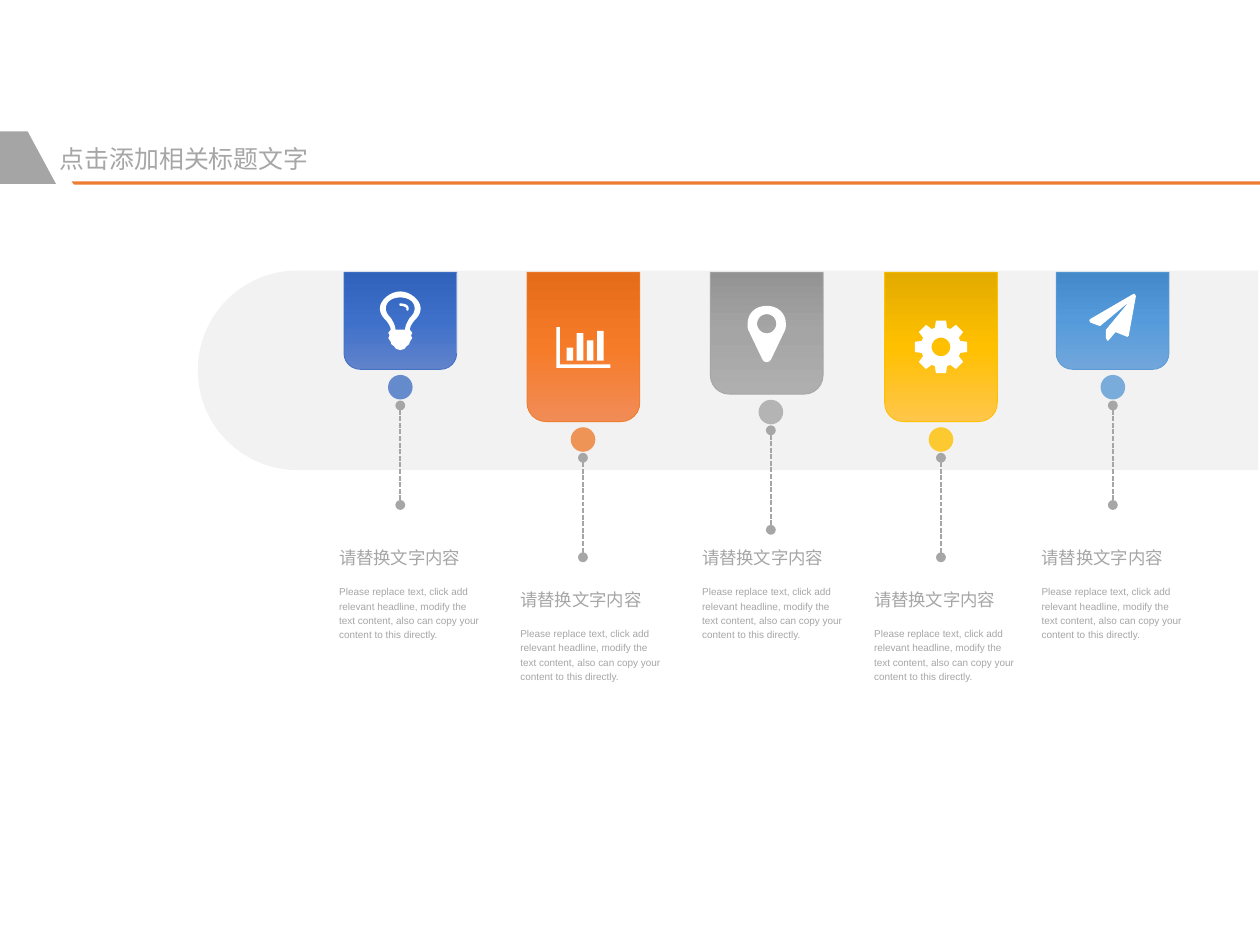
from copy import deepcopy
from dataclasses import dataclass
from math import cos, radians, sin

from lxml import etree
from pptx import Presentation
from pptx.dml.color import RGBColor
from pptx.enum.dml import MSO_LINE
from pptx.enum.shapes import MSO_CONNECTOR, MSO_SHAPE
from pptx.enum.text import MSO_ANCHOR, MSO_AUTO_SIZE
from pptx.oxml.ns import qn
from pptx.util import Inches, Pt

ROUNDED, ELLIPSE = MSO_SHAPE.ROUND_2_SAME_RECTANGLE, MSO_SHAPE.OVAL
STRAIGHT, DASHED = MSO_CONNECTOR.STRAIGHT, MSO_LINE.SQUARE_DOT
TOP, MIDDLE = MSO_ANCHOR.TOP, MSO_ANCHOR.MIDDLE
FIT_TEXT = MSO_AUTO_SIZE.SHAPE_TO_FIT_TEXT

WIDTH, HEIGHT = Inches(10.55), Inches(7.91)
COLUMNS, ROWS = 100, 75
ICON_UNIT = 0.095  # columns per icon point


@dataclass(frozen=True)
class Theme:
    font: str = "Arial"
    title_size: float = 15
    heading_size: float = 10.5
    body_size: float = 6
    text: str = "A6A6A6"
    band: str = "F2F2F2"
    tab: str = "A5A5A5"
    rule: str = "ED7D31"
    icon: str = "FFFFFF"
    # Accent, then the card's gradient from its lower to its upper edge
    blue: tuple = ("4472C4", "6183CB", "3E70CA", "3062BB")
    orange: tuple = ("ED7D31", "F18C57", "F67B28", "E56C19")
    gray: tuple = ("A5A5A5", "AFAFAF", "A5A5A5", "939393")
    gold: tuple = ("FFC000", "FFC64B", "FFC000", "E3AB00")
    sky: tuple = ("5B9BD5", "71A6DB", "559BDB", "448ACA")


class Board:
    """Draws on one slide, measured in columns and rows."""

    def __init__(self, slide, theme):
        self.shapes, self.theme = slide.shapes, theme

    def place(self, x, y):
        return round(x * WIDTH / COLUMNS), round(y * HEIGHT / ROWS)

    def shape(self, kind, x, y, w, h, color, rotation=0, opacity=None):
        shape = self.shapes.add_shape(kind, *self.place(x, y), *self.place(w, h))
        shape.rotation = rotation
        self.paint(shape, color)
        if opacity:
            tint = shape.element.spPr.find(".//" + qn("a:srgbClr"))
            etree.SubElement(tint, qn("a:alpha"), val=str(opacity * 1000))
        return shape

    def paint(self, shape, color):
        shape.shadow.inherit = False
        shape.fill.solid()
        shape.fill.fore_color.rgb = RGBColor.from_string(color)
        shape.line.fill.background()

    def card(self, x, y, w, h, colors):
        accent, *shades = colors
        card = self.shape(ROUNDED, x, y, w, h, accent, rotation=180)
        card.line.color.rgb = RGBColor.from_string(accent)
        card.line.width = Pt(0.5)
        card.fill.gradient()
        card.fill.gradient_angle = 270
        stops = card.element.spPr.find(".//" + qn("a:gsLst"))
        stops.append(deepcopy(stops[-1]))
        for stop, shade, position in zip(card.fill.gradient_stops, shades, (0, 0.5, 1)):
            stop.color.rgb = RGBColor.from_string(shade)
            stop.position = position

    def outline(self, contours, color, x=0, y=0, unit=1):
        placed = [[self.place(x + px * unit, y + py * unit) for px, py in contour]
                  for contour in contours]
        builder = self.shapes.build_freeform(*placed[0][0])
        for index, (start, *rest) in enumerate(placed):
            if index:
                builder.move_to(*start)
            builder.add_line_segments(rest, close=True)
        self.paint(builder.convert_to_shape(), color)

    def pointer(self, x, y, length):
        pointer = self.shapes.add_connector(
            STRAIGHT, *self.place(x, y), *self.place(x, y + length))
        pointer.line.color.rgb = RGBColor.from_string(self.theme.text)
        pointer.line.width = Pt(1)
        pointer.line.dash_style = DASHED
        properties = pointer.element.spPr
        for end in ("a:headEnd", "a:tailEnd"):
            etree.SubElement(properties.find(qn("a:ln")), qn(end), type="oval")
        etree.SubElement(properties, qn("a:effectLst"))

    def text(self, x, y, w, h, words, size, anchor=MIDDLE, spacing=1.2, after=0):
        box = self.shapes.add_textbox(*self.place(x, y), *self.place(w, h))
        frame = box.text_frame
        frame.text = words
        frame.word_wrap, frame.auto_size = True, FIT_TEXT
        frame.vertical_anchor = anchor
        frame.margin_left = frame.margin_right = 0
        frame.margin_top = frame.margin_bottom = 0
        paragraph = frame.paragraphs[0]
        paragraph.line_spacing = spacing
        paragraph.space_before, paragraph.space_after = Pt(0), Pt(after)
        before = box.element.find(".//" + qn("a:spcBef"))
        before.remove(before[0])
        etree.SubElement(before, qn("a:spcPct"), val="20000")
        font = paragraph.runs[0].font
        font.name, font.size = self.theme.font, Pt(size)
        font.color.rgb = RGBColor.from_string(self.theme.text)


# Icon geometry: x from the centre line, y from the icon's top
def curve(start, *bends, steps=8):
    points = [start]
    for b, c, d in bends:
        a = points[-1]
        for t in (i / steps for i in range(1, steps + 1)):
            s = 1 - t
            points.append(tuple(s**3 * p + 3 * s * s * t * q + 3 * s * t * t * r + t**3 * e
                                for p, q, r, e in zip(a, b, c, d)))
    return points


def mirrored(half):
    return half + [(-x, y) for x, y in reversed(half)]


def polar(radius, degrees, middle):
    angle = radians(degrees)
    return radius * sin(angle), middle - radius * cos(angle)


def circle(radius, middle):
    return [polar(radius, degrees, middle) for degrees in range(0, 360, 10)]


def bar(x, top, width=5.5, base=28):
    return [(x, top), (x + width, top), (x + width, base), (x, base)]


BULB = [
    mirrored(curve((0, 0), ((8, 0), (17, 7), (17, 14)), ((17, 18), (15, 21), (13, 23)),
                   ((11, 25), (8, 29), (8, 32)))
             + [(10, 34.5), (9, 37), (10, 39), (8, 42), (7.5, 44), (5, 46), (3.5, 48), (0, 49)]),
    mirrored(curve((0, 5), ((6, 5), (12, 8), (12, 14)), ((12, 17), (11, 19), (8, 22)),
                   ((6, 25), (4, 29), (4, 32)))),
    curve((6, 16), ((5, 16), (5, 15), (5, 14)), ((5, 13), (2, 12), (0, 12)),
          ((-1, 12), (-1, 10), (0, 10)), ((3, 10), (7, 11), (7, 14)), ((7, 15), (7, 16), (6, 16))),
]
BARS = [[(-22.5, 0), (-19.5, 0), (-19.5, 31), (22.5, 31), (22.5, 34), (-22.5, 34)]]
BARS += [bar(-14 + 8.5 * i, top) for i, top in enumerate((17, 5, 11, 3))]
PIN = [
    mirrored(curve((0, 0), ((9, 0), (16, 6), (16, 15)), ((16, 17), (16, 19), (15, 21)))
             + curve((4, 44), ((3, 46), (2, 47), (0, 47)))),
    circle(8, 15),
]
GEAR = [
    [polar(radius, tooth + turn, 22.5) for tooth in range(0, 360, 45)
     for radius, turn in ((16.8, -17.5), (22.3, -11), (22.3, 11), (16.8, 17.5))],
    circle(7.8, 22.5),
]
PLANE = [[(19.5, 2), (18.5, 0), (17.5, 0), (-18.5, 21), (-19.5, 22), (-18.5, 24), (-10.5, 27),
          (13.5, 7), (-5.5, 30), (-5.5, 37), (-4.5, 39), (-3.5, 39), (2.5, 32), (12.5, 36),
          (13.5, 35)]]

HEADING = "请替换文字内容"
BODY = ("Please replace text, click add relevant headline, modify the text content, "
        "also can copy your content to this directly.")
CARD_TOP, CARD_WIDTH, DOT = 21.61, 8.95, 1.95
HIGH, LOW = 43.22, 46.54


def main():
    deck = Presentation()
    deck.slide_width, deck.slide_height = WIDTH, HEIGHT
    theme = Theme()
    board = Board(deck.slides.add_slide(deck.slide_layouts[6]), theme)

    # Title bar
    board.outline([[(5.69, 14.4), (100, 14.4), (100, 14.65), (5.88, 14.65)]], theme.rule)
    board.outline([[(0, 10.43), (2.2, 10.43), (4.45, 14.6), (0, 14.6)]], theme.tab)
    board.text(4.74, 11.38, 23.9, 2.4, "点击添加相关标题文字", theme.title_size,
               TOP, spacing=1, after=6)

    # Band behind the cards
    band = board.shape(ROUNDED, 49.86, -12.7, 15.83, 84.17, theme.band, rotation=270)
    band.adjustments[0] = 0.5

    # Steps: centre, card height, pointer centre, icon and its top, text left and top
    steps = (
        (31.77, 7.7, 31.77, BULB, 23.13, 26.92, HIGH, theme.blue),
        (46.3, 11.85, 46.27, BARS, 25.97, 41.3, LOW, theme.orange),
        (60.85, 9.67, 61.18, PIN, 24.27, 55.73, HIGH, theme.gray),
        (74.68, 11.85, 74.68, GEAR, 25.4, 69.38, LOW, theme.gold),
        (88.3, 7.7, 88.32, PLANE, 23.32, 82.67, HIGH, theme.sky),
    )
    for centre, height, drop, icon, icon_top, left, top, colors in steps:
        board.card(centre - CARD_WIDTH / 2, CARD_TOP, CARD_WIDTH, height, colors)
        board.outline(icon, theme.icon, centre, icon_top, ICON_UNIT)
        dot_top = CARD_TOP + height + 0.45
        board.shape(ELLIPSE, drop - DOT / 2, dot_top, DOT, DOT, colors[0], opacity=80)
        board.pointer(drop, dot_top + 2.42, 7.9)
        board.text(left, top, 11.15, 1.8, HEADING, theme.heading_size)
        board.text(left, top + 3.13, 11.15, 4.45, BODY, theme.body_size)

    deck.save("out.pptx")


if __name__ == "__main__":
    main()
